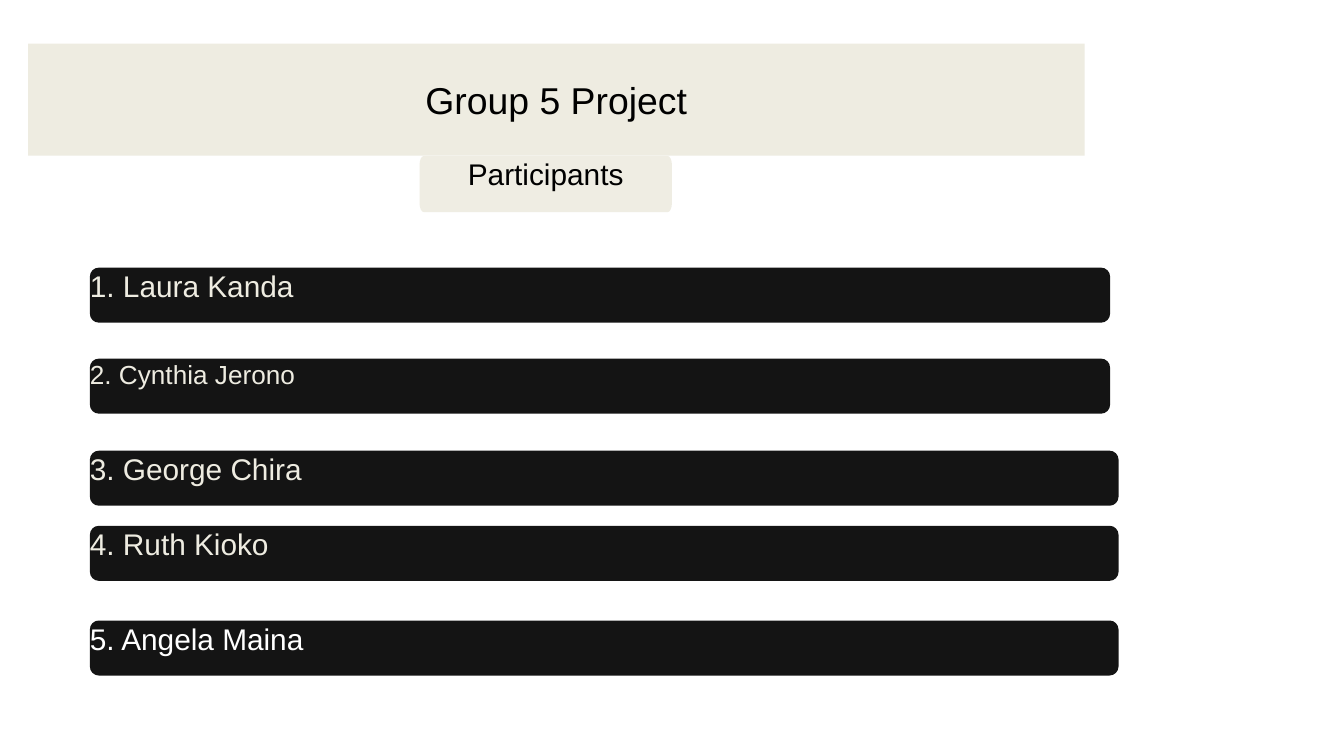
from math import cos, radians, sin

from lxml.etree import SubElement
from pptx import Presentation
from pptx.dml.color import RGBColor
from pptx.enum.text import MSO_ANCHOR as Anchor, MSO_AUTO_SIZE as AutoSize, PP_ALIGN as Align
from pptx.oxml.ns import qn
from pptx.util import Cm, Pt

BLACK = RGBColor(0x00, 0x00, 0x00)
WHITE = RGBColor(0xFF, 0xFF, 0xFF)
CREAM = RGBColor(0xEE, 0xEC, 0xE1)

PARTICIPANTS = [
    ("1. Laura Kanda", 5.06, 19.28, 16, CREAM),
    ("2. Cynthia Jerono", 6.78, 19.28, 14, CREAM),
    ("3. George Chira", 8.52, 19.44, 16, CREAM),
    ("4. Ruth Kioko", 9.94, 19.44, 16, CREAM),
    ("5. Angela Maina", 11.73, 19.44, 16, WHITE),
]


class SlideBuilder:
    font = "Arial"
    opacity = 92

    def __init__(self, slide):
        self.slide = slide

    def set_text(self, frame, text, size, color, align):
        frame.text = text
        paragraph = frame.paragraphs[0]
        paragraph.alignment = align
        font = paragraph.runs[0].font
        font.name, font.size, font.color.rgb = self.font, Pt(size), color

    def title(self, text, left, top, width, height):
        heading = self.slide.shapes.title
        heading.left, heading.top = Cm(left), Cm(top)
        heading.width, heading.height = Cm(width), Cm(height)
        heading.fill.solid()
        heading.fill.fore_color.rgb = CREAM
        self.set_text(heading.text_frame, text, 20, BLACK, Align.CENTER)
        heading.text_frame.vertical_anchor = Anchor.MIDDLE
        heading.text_frame.auto_size = AutoSize.SHAPE_TO_FIT_TEXT

    def outline(self, left, top, width, height, radius_x, radius_y):
        right, bottom = left + width - radius_x, top + height - radius_y
        left, top = left + radius_x, top + radius_y
        centers = [(right, bottom), (left, bottom), (left, top), (right, top)]
        points = []
        for corner, (x, y) in enumerate(centers):
            for step in range(5):
                angle = radians(90 * corner + 22.5 * step)
                points.append((Cm(x + radius_x * cos(angle)), Cm(y + radius_y * sin(angle))))
        return points

    def panel(self, text, left, top, width, height, fill, size, color,
              align=Align.LEFT, radius_x=0.17, radius_y=0.17):
        start, *rest = self.outline(left, top, width, height, radius_x, radius_y)
        builder = self.slide.shapes.build_freeform(*start)
        builder.add_line_segments(rest, close=True)
        panel = builder.convert_to_shape()
        panel.shadow.inherit = False
        panel.line.fill.background()
        panel.fill.solid()
        panel.fill.fore_color.rgb = fill
        fill_color = panel.element.spPr.find(qn("a:solidFill")).find(qn("a:srgbClr"))
        SubElement(fill_color, qn("a:alpha")).set("val", str(self.opacity * 1000))
        frame = panel.text_frame
        frame.margin_left = frame.margin_top = frame.margin_right = frame.margin_bottom = 0
        frame.word_wrap = True
        frame.vertical_anchor = Anchor.TOP
        self.set_text(frame, text, size, color, align)


def main():
    deck = Presentation()
    deck.slide_width, deck.slide_height = Cm(25.4), Cm(14.29)
    page = SlideBuilder(deck.slides.add_slide(deck.slide_layouts[5]))
    page.title("Group 5 Project", 0.53, 1.33, 19.97, 1.11)
    page.panel("Participants", 7.93, 2.95, 4.77, 1.06, CREAM, 16, BLACK,
               align=Align.CENTER, radius_x=0.08)
    for name, top, width, size, color in PARTICIPANTS:
        page.panel(name, 1.7, top, width, 1.04, BLACK, size, color)
    deck.save("out.pptx")


if __name__ == "__main__":
    main()
